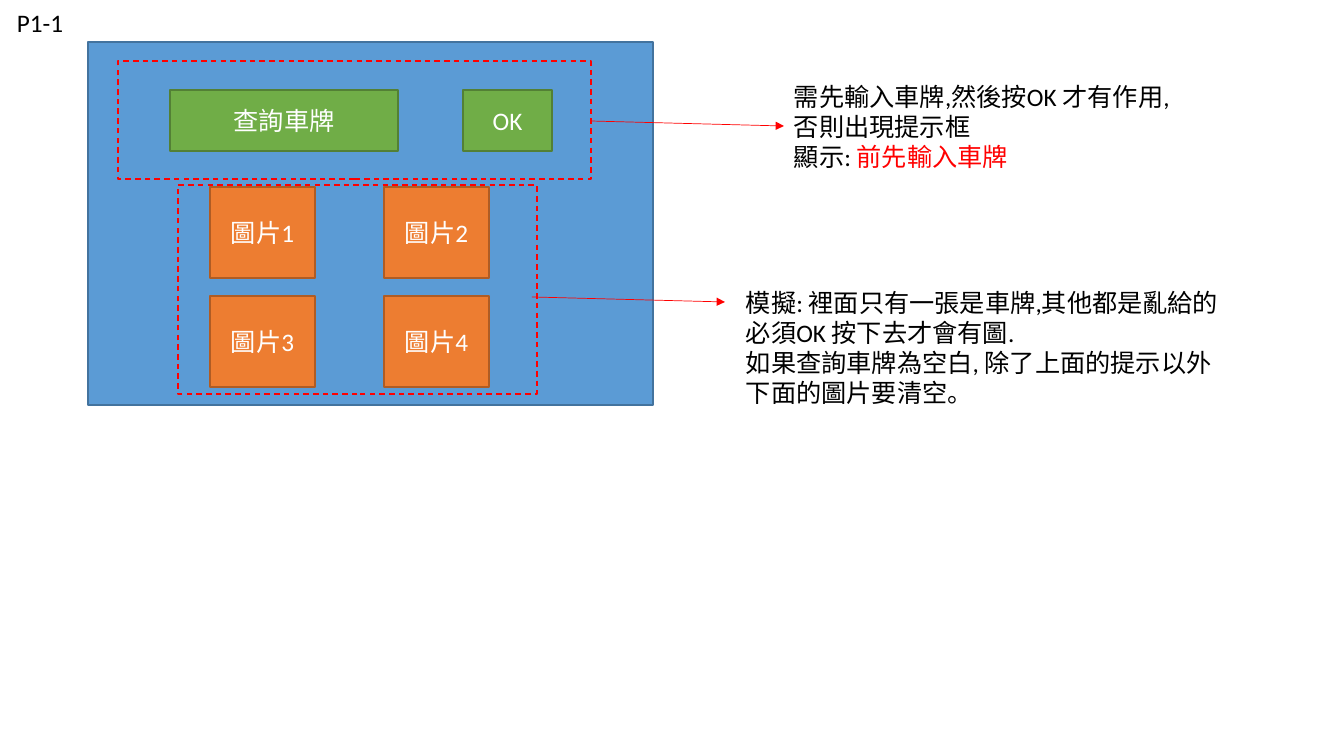
from lxml.etree import SubElement
from pptx import Presentation
from pptx.dml.color import RGBColor
from pptx.enum.dml import MSO_LINE
from pptx.enum.shapes import MSO_CONNECTOR, MSO_SHAPE
from pptx.enum.text import MSO_ANCHOR, PP_ALIGN
from pptx.oxml.ns import qn
from pptx.util import Pt

EMU_PER_PX = 914400 / 100.8
BLUE, BLUE_EDGE = RGBColor(0x5B, 0x9B, 0xD5), RGBColor(0x43, 0x73, 0x9E)
GREEN, GREEN_EDGE = RGBColor(0x70, 0xAD, 0x47), RGBColor(0x53, 0x80, 0x35)
ORANGE, ORANGE_EDGE = RGBColor(0xED, 0x7D, 0x31), RGBColor(0xAF, 0x5C, 0x24)
RED = RGBColor(0xFF, 0x00, 0x00)
WHITE = RGBColor(0xFF, 0xFF, 0xFF)
BLACK = RGBColor(0x00, 0x00, 0x00)


def px(*lengths):
    return [round(length * EMU_PER_PX) for length in lengths]


def style_run(run, color):
    run.font.name = "Calibri"
    run.font.size = Pt(18)
    run.font.color.rgb = color


def add_block(slide, box, fill, edge, label=""):
    block = slide.shapes.add_shape(MSO_SHAPE.RECTANGLE, *px(*box))
    block.shadow.inherit = False
    block.line.color.rgb = edge
    block.line.width = Pt(1)
    if fill is None:
        block.fill.background()
        block.line.dash_style = MSO_LINE.DASH
    else:
        block.fill.solid()
        block.fill.fore_color.rgb = fill
    if label:
        frame = block.text_frame
        frame.text = label
        frame.vertical_anchor = MSO_ANCHOR.MIDDLE
        frame.paragraphs[0].alignment = PP_ALIGN.CENTER
        style_run(frame.paragraphs[0].runs[0], WHITE)


def add_note(slide, box, words, wrap=True):
    frame = slide.shapes.add_textbox(*px(*box)).text_frame
    frame.text = words
    frame.word_wrap = wrap
    for paragraph in frame.paragraphs:
        for run in paragraph.runs:
            style_run(run, BLACK)
    return frame


def add_arrow(slide, left, top):
    arrow = slide.shapes.add_connector(
        MSO_CONNECTOR.STRAIGHT, *px(left, top, left + 193, top + 5))
    arrow.line.color.rgb = RED
    arrow.line.width = Pt(0.5)
    SubElement(arrow.line._get_or_add_ln(), qn("a:tailEnd"), type="triangle")
    SubElement(arrow._element.spPr, qn("a:effectLst"))


def add_query_bar(slide, left, top, width, height):
    add_block(slide, (left + 52, top + 29, 228, 61), GREEN, GREEN_EDGE, "查詢車牌")
    add_block(slide, (left + 345, top + 29, 89, 61), GREEN, GREEN_EDGE, "OK")
    add_block(slide, (left, top, width, height), None, RED)
    add_arrow(slide, left + width, top + 60)


def add_picture_grid(slide, left, top, width, height):
    for index in range(4):
        row, column = divmod(index, 2)
        cell = (left + 32 + 174 * column, top + 2 + 109 * row, 105, 91)
        add_block(slide, cell, ORANGE, ORANGE_EDGE, f"圖片{index + 1}")
    add_block(slide, (left, top, width, height), None, RED)
    add_arrow(slide, left + width - 5, top + 112)


def add_app_panel(slide, left, top, width, height):
    add_block(slide, (left, top, width, height), BLUE, BLUE_EDGE)
    add_query_bar(slide, left + 30, top + 19, 473, 118)
    add_picture_grid(slide, left + 90, top + 143, 359, 209)


def add_explanations(slide, left, top, width):
    query_note = add_note(
        slide, (left + 48, top, width - 98, 102),
        "需先輸入車牌,然後按OK 才有作用,\n否則出現提示框\n顯示: ")
    warning = query_note.paragraphs[-1].add_run()
    warning.text = "前先輸入車牌"
    style_run(warning, RED)
    add_note(
        slide, (left, top + 206, width, 132),
        "模擬: 裡面只有一張是車牌,其他都是亂給的\n必須OK 按下去才會有圖.\n"
        "如果查詢車牌為空白, 除了上面的提示以外\n下面的圖片要清空。")


presentation = Presentation()
presentation.slide_width, presentation.slide_height = px(1344, 756)
slide = presentation.slides.add_slide(presentation.slide_layouts[6])
add_note(slide, (7, 2, 67, 40), "P1-1", wrap=False)
add_app_panel(slide, 88, 42, 565, 363)
add_explanations(slide, 736, 76, 498)
presentation.save("out.pptx")
